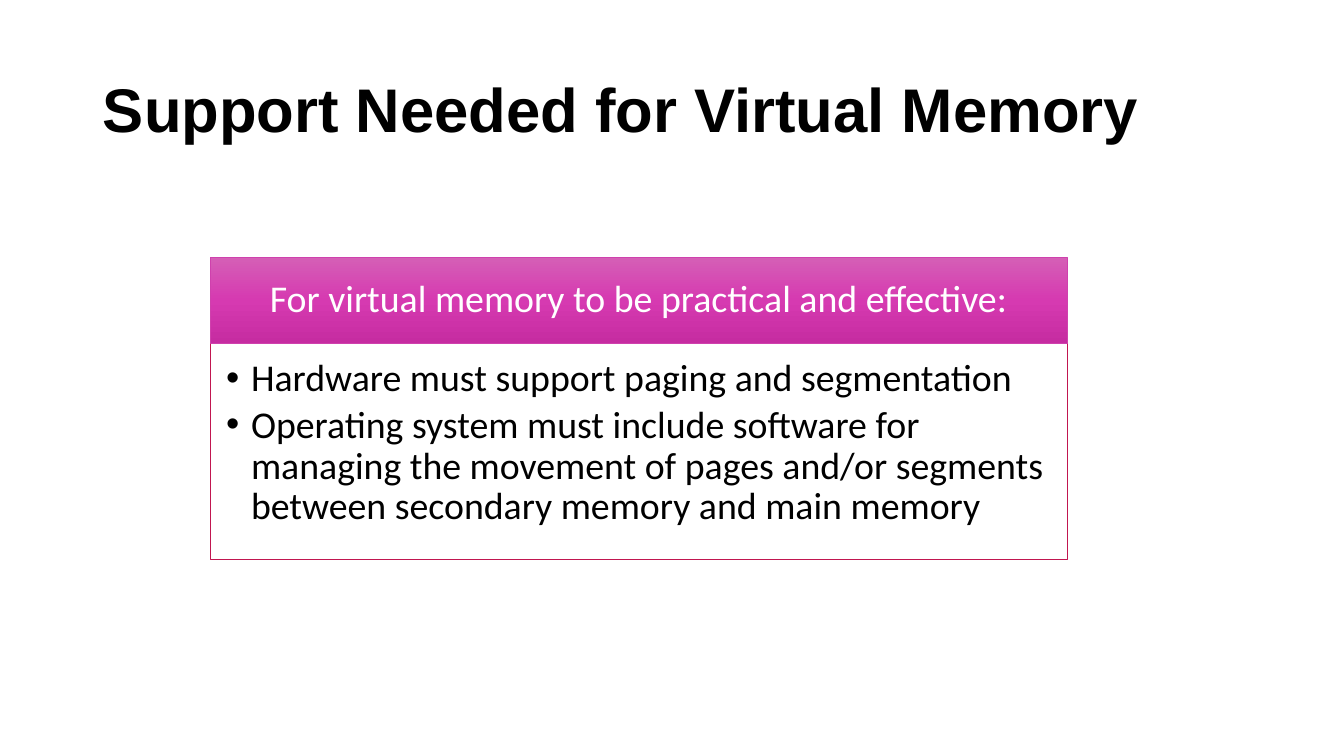
from copy import deepcopy

from lxml.etree import SubElement
from pptx import Presentation
from pptx.dml.color import RGBColor
from pptx.enum.shapes import MSO_SHAPE
from pptx.enum.text import MSO_ANCHOR, MSO_AUTO_SIZE, PP_ALIGN
from pptx.oxml.ns import qn
from pptx.util import Emu, Pt

BLACK = RGBColor(0x00, 0x00, 0x00)
WHITE = RGBColor(0xFF, 0xFF, 0xFF)
HEADER_LINE = RGBColor(0xCF, 0x41, 0xAD)
BODY_LINE = RGBColor(0xC1, 0x16, 0x50)
HEADER_GRADIENT = [
    (0, RGBColor(0xD5, 0x5F, 0xB6)),
    (0.5, RGBColor(0xD6, 0x3A, 0xB1)),
    (1, RGBColor(0xC6, 0x2C, 0xA1)),
]


def px(length):
    return Emu(round(length * 914400 / 100.8))


def write_text(shape, lines, box, insets, size, font="Calibri", color=BLACK, bold=False,
               align=PP_ALIGN.LEFT, anchor=MSO_ANCHOR.MIDDLE, space_after=0, indent=0):
    shape.left, shape.top, shape.width, shape.height = map(px, box)
    frame = shape.text_frame
    frame.text = "\n".join(lines)
    frame.word_wrap = True
    frame.auto_size = MSO_AUTO_SIZE.NONE
    frame.vertical_anchor = anchor
    frame.margin_left, frame.margin_top, frame.margin_right, frame.margin_bottom = map(px, insets)
    for paragraph in frame.paragraphs:
        paragraph.alignment = align
        paragraph.line_spacing = 0.9
        paragraph.space_before = Pt(0)
        paragraph.space_after = Pt(space_after)
        for run in paragraph.runs:
            run.font.name = font
            run.font.size = Pt(size)
            run.font.bold = bold
            run.font.color.rgb = color
        if indent:
            properties = paragraph._p.get_or_add_pPr()
            properties.set("marL", str(px(indent)))
            properties.set("indent", str(-px(indent)))
            SubElement(properties, qn("a:buFont")).set("typeface", "Arial")
            SubElement(properties, qn("a:buChar")).set("char", "•")


presentation = Presentation()
presentation.slide_width = px(1344)
presentation.slide_height = px(756)
slide = presentation.slides.add_slide(presentation.slide_layouts[1])
slide.background.fill.solid()
slide.background.fill.fore_color.rgb = WHITE

write_text(slide.shapes.title, ["Support Needed for Virtual Memory"],
           (93, 40, 1159, 146), (10, 5, 10, 5), 44, font="Arial", bold=True)

header = slide.shapes.add_shape(MSO_SHAPE.RECTANGLE, 0, 0, 0, 0)
header.shadow.inherit = False
header.fill.gradient()
header.fill.gradient_angle = 270
stop_list = header._element.spPr.find(qn("a:gradFill")).find(qn("a:gsLst"))
stop_list.append(deepcopy(stop_list[0]))
for stop, (position, color) in zip(header.fill.gradient_stops, HEADER_GRADIENT):
    stop.position = position
    stop.color.rgb = color
header.line.color.rgb = HEADER_LINE
header.line.width = Pt(0.5)
write_text(header, ["For virtual memory to be practical and effective:"],
           (210, 257, 857, 86), (21, 12, 21, 12), 27, color=WHITE, align=PP_ALIGN.CENTER)

body = slide.placeholders[1]
body.fill.solid()
body.fill.fore_color.rgb = WHITE
body.line.color.rgb = BODY_LINE
body.line.width = Pt(0.5)
write_text(body, [
    "Hardware must support paging and segmentation",
    "Operating system must include software for managing the movement of pages "
    "and/or segments between secondary memory and main memory",
], (210, 343, 857, 216), (16, 16, 21, 24), 27, anchor=MSO_ANCHOR.TOP, space_after=4, indent=25)

presentation.save("out.pptx")
